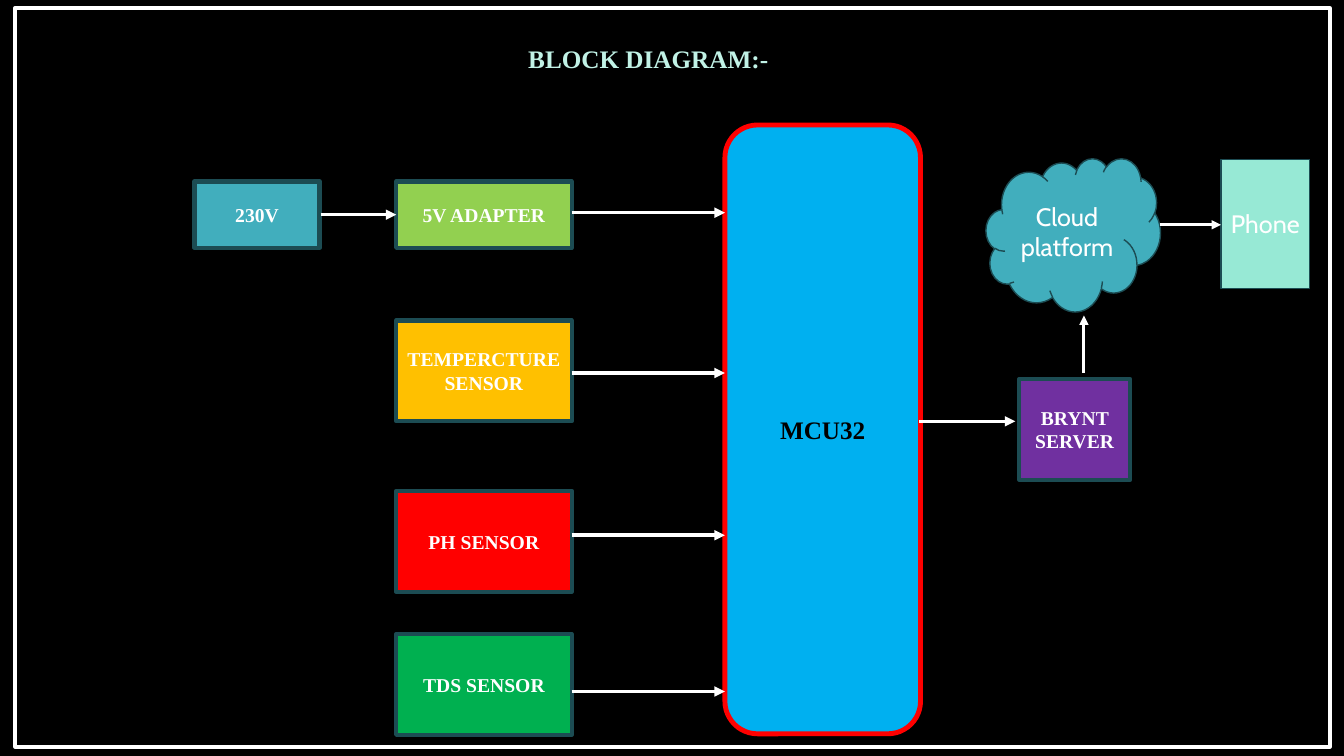
from pptx import Presentation
from pptx.enum import shapes, text
from pptx.dml.color import RGBColor
from pptx.oxml.ns import qn
from pptx.util import Inches, Pt
from lxml import etree

COLOURS = {
    "black": "000000", "white": "FFFFFF", "title": "C1F2E6", "edge": "1C4C53",
    "teal": "41AEBD", "lime": "92D050", "sky": "00B0F0", "amber": "FFC000",
    "red": "FF0000", "green": "00B050", "purple": "7030A0", "mint": "97E9D5",
}
SERIF, SANS = "Times New Roman", "Cabin"
SHAPE = shapes.MSO_SHAPE


def colour(name):
    return RGBColor.from_string(COLOURS[name])


def write(frame, words, size=14, font=SERIF, ink="white", bold=True):
    frame.word_wrap = True
    frame.vertical_anchor = text.MSO_ANCHOR.MIDDLE
    paragraph = frame.paragraphs[0]
    paragraph.alignment = text.PP_ALIGN.CENTER
    run = paragraph.add_run()
    run.text = words
    run.font.size, run.font.name, run.font.bold = Pt(size), font, bold
    run.font.color.rgb = colour(ink)


def add_block(slide, box, fill=None, words="", kind=SHAPE.RECTANGLE,
              edge="edge", weight=3, **text_format):
    block = slide.shapes.add_shape(kind, *map(Inches, box))
    block.shadow.inherit = False
    if fill:
        block.fill.solid()
        block.fill.fore_color.rgb = colour(fill)
    else:
        block.fill.background()
    block.line.color.rgb = colour(edge)
    block.line.width = Pt(weight)
    if words:
        write(block.text_frame, words, **text_format)


def add_arrow(slide, start, end, weight=2.5):
    arrow = slide.shapes.add_connector(
        shapes.MSO_CONNECTOR.STRAIGHT, *map(Inches, (*start, *end)))
    arrow.line.color.rgb = colour("white")
    arrow.line.width = Pt(weight)
    etree.SubElement(arrow.line._get_or_add_ln(), qn("a:tailEnd"), type="triangle")
    etree.SubElement(arrow._element.spPr, qn("a:effectLst"))


def add_title(slide, box):
    title = slide.shapes.title
    title.left, title.top, title.width, title.height = map(Inches, box)
    write(title.text_frame, "BLOCK DIAGRAM:-", size=18, ink="title")


def add_inputs(slide, box):
    """Power supply and sensors, with arrows to the right edge of the box."""
    left, top, width, _ = box
    adapter = left + 2
    # Offset, height, arrow offset, fill and label of each input
    inputs = [
        (0, 0.66, 0.31, "lime", "5V ADAPTER"),
        (1.38, 1, 1.9, "amber", "TEMPERCTURE SENSOR"),
        (3.07, 1, 3.51, "red", "PH SENSOR"),
        (4.49, 1, 5.06, "green", "TDS SENSOR"),
    ]
    add_block(slide, (left, top, 1.24, 0.66), "teal", "230V")
    for offset, height, arrow, fill, label in inputs:
        add_block(slide, (adapter, top + offset, 1.74, height), fill, label)
        add_arrow(slide, (adapter + 1.74, top + arrow), (left + width, top + arrow))
    add_arrow(slide, (left + 1.25, top + 0.33), (adapter, top + 0.33))


def add_controller(slide, box):
    add_block(slide, box, "sky", "MCU32", kind=SHAPE.ROUNDED_RECTANGLE,
              edge="red", weight=3.5, size=18, ink="black")


def add_cloud_path(slide, box):
    """Server, cloud and phone, fed from the left edge of the box."""
    left, top, width, _ = box
    sans = dict(weight=1, size=18, font=SANS, bold=False)
    add_block(slide, (left + 0.99, top + 2.19, 1.1, 1), "purple", "BRYNT SERVER")
    add_block(slide, (left + 0.66, top, 1.73, 1.52), "teal", "Cloud platform",
              kind=SHAPE.CLOUD, **sans)
    phone = left + width - 0.88
    add_block(slide, (phone, top + 0.01, 0.88, 1.28), "mint", "Phone", **sans)
    add_arrow(slide, (left, top + 2.61), (left + 0.95, top + 2.61))
    add_arrow(slide, (left + 1.63, top + 2.13), (left + 1.63, top + 1.56), 2.25)
    add_arrow(slide, (left + 2.39, top + 0.66), (phone, top + 0.66), 2.25)


def main():
    deck = Presentation()
    deck.slide_width, deck.slide_height = Inches(13.33), Inches(7.5)
    slide = deck.slides.add_slide(deck.slide_layouts[5])
    slide.background.fill.solid()
    slide.background.fill.fore_color.rgb = colour("black")

    add_title(slide, (4.6, 0.38, 3.66, 0.4))
    add_controller(slide, (7.19, 1.24, 1.94, 6.04))
    add_inputs(slide, (1.93, 1.8, 5.26, 5.49))
    add_cloud_path(slide, (9.12, 1.57, 3.87, 3.19))
    # Slide frame
    add_block(slide, (0.15, 0.08, 13.04, 7.33), edge="white", weight=2.5)
    deck.save("out.pptx")


if __name__ == "__main__":
    main()
